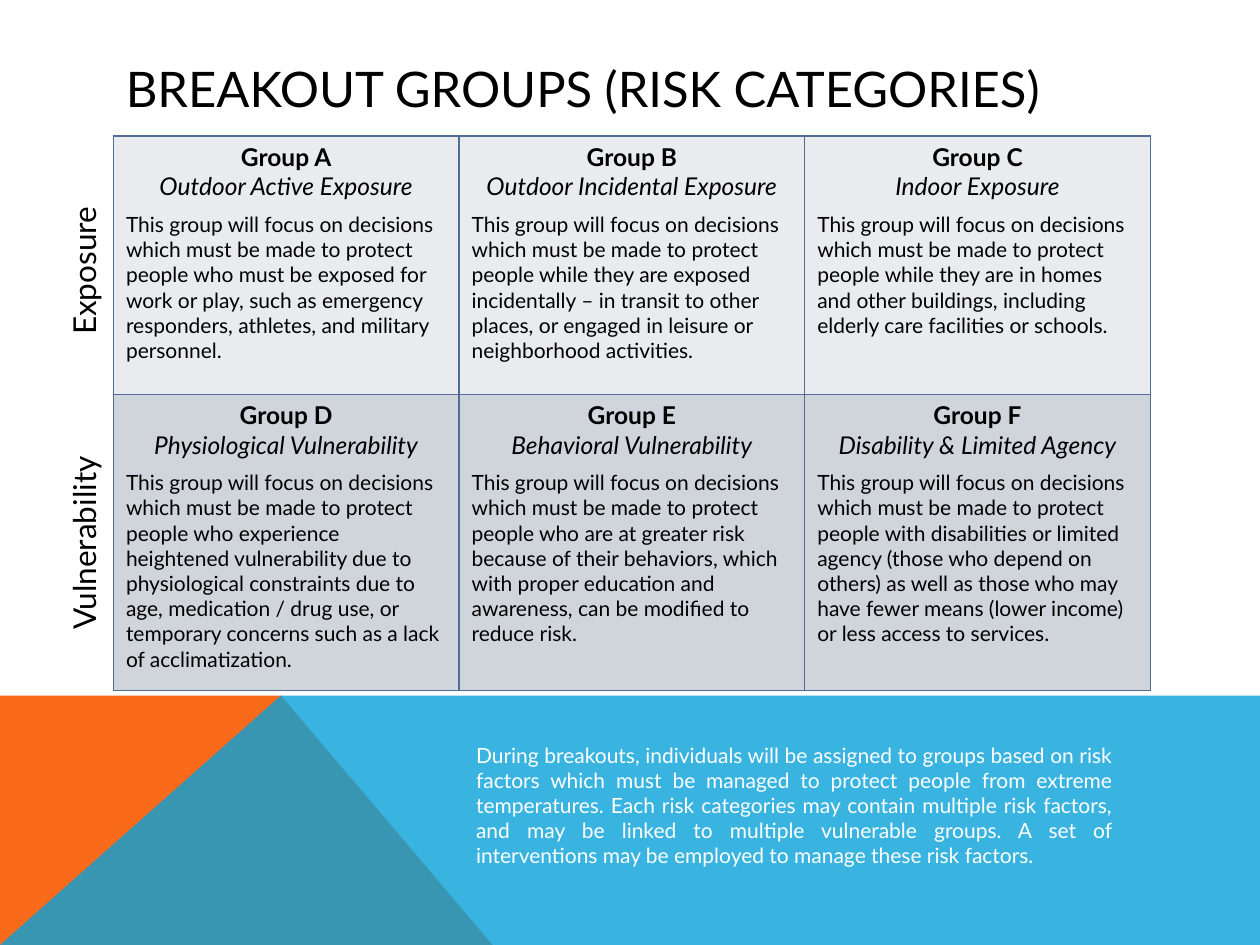
from lxml import etree
from pptx import Presentation
from pptx.dml.color import RGBColor
from pptx.enum.text import MSO_ANCHOR, PP_ALIGN
from pptx.oxml.ns import qn
from pptx.util import Inches, Pt

LEFT, CENTER, JUSTIFY = PP_ALIGN.LEFT, PP_ALIGN.CENTER, PP_ALIGN.JUSTIFY
TOP, MIDDLE = MSO_ANCHOR.TOP, MSO_ANCHOR.MIDDLE
BLACK = RGBColor(0x00, 0x00, 0x00)
WHITE = RGBColor(0xFF, 0xFF, 0xFF)
ORANGE = RGBColor(0xF9, 0x6A, 0x1B)
BLUE = RGBColor(0x08, 0xA1, 0xD9)
BORDER = RGBColor(0x50, 0x6E, 0x94)
ROW_FILLS = [RGBColor(0xE9, 0xEB, 0xEE), RGBColor(0xD0, 0xD5, 0xDC)]
FONT = "Lato"

prs = Presentation()
prs.slide_width, prs.slide_height = Inches(10), Inches(7.5)
s = prs.slides.add_slide(prs.slide_layouts[6])


def add_run(p, text, size, color=BLACK, align=LEFT, bold=False, italic=False):
    p.alignment = align
    r = p.add_run()
    r.text = text
    r.font.name, r.font.size = FONT, Pt(size)
    r.font.bold, r.font.italic = bold, italic
    r.font.color.rgb = color


def add_text(box, text, size, color=BLACK, align=LEFT, anchor=TOP, rotation=0):
    sp = s.shapes.add_textbox(*[Inches(v) for v in box])
    sp.rotation = rotation
    tf = sp.text_frame
    tf.word_wrap = True
    tf.vertical_anchor = anchor
    add_run(tf.paragraphs[0], text, size, color, align)


bands = [
    (ORANGE, 100, [(0, 7.5), (0, 5.52), (2.23, 5.52), (3.91, 7.5)]),
    (BLUE, 80, [(0, 7.5), (2.23, 5.52), (10, 5.52), (10, 7.5)]),
]
for color, opacity, points in bands:
    corners = [(Inches(x), Inches(y)) for x, y in points]
    builder = s.shapes.build_freeform(*corners[0])
    builder.add_line_segments(corners[1:], close=True)
    sp = builder.convert_to_shape()
    sp.shadow.inherit = False
    sp.line.fill.background()
    sp.fill.solid()
    sp.fill.fore_color.rgb = color
    if opacity < 100:
        clr = sp.fill._xPr.find(qn("a:solidFill"))[0]
        etree.SubElement(clr, qn("a:alpha"), val=str(opacity * 1000))

add_text((0.9, 0.4, 8.22, 0.6), "BREAKOUT GROUPS (RISK CATEGORIES)", 28, anchor=MIDDLE)

INTRO = "This group will focus on decisions which must be made to protect people "
groups = [
    [
        ("Group A", "Outdoor Active Exposure",
         "who must be exposed for work or play, such as emergency responders, "
         "athletes, and military personnel."),
        ("Group B", "Outdoor Incidental Exposure",
         "while they are exposed incidentally – in transit to other places, "
         "or engaged in leisure or neighborhood activities."),
        ("Group C", "Indoor Exposure",
         "while they are in homes and other buildings, including elderly care "
         "facilities or schools."),
    ],
    [
        ("Group D", "Physiological Vulnerability",
         "who experience heightened vulnerability due to physiological constraints "
         "due to age, medication / drug use, or temporary concerns such as a lack "
         "of acclimatization."),
        ("Group E", "Behavioral Vulnerability",
         "who are at greater risk because of their behaviors, which with proper "
         "education and awareness, can be modified to reduce risk."),
        ("Group F", "Disability & Limited Agency",
         "with disabilities or limited agency (those who depend on others) as well "
         "as those who may have fewer means (lower income) or less access to services."),
    ],
]
table = s.shapes.add_table(2, 3, Inches(0.9), Inches(1.08), Inches(8.23), Inches(4.4)).table
for row, height in zip(table.rows, (2.05, 2.35)):
    row.height = Inches(height)
for i, row_groups in enumerate(groups):
    for j, (name, topic, focus) in enumerate(row_groups):
        cell = table.cell(i, j)
        tcPr = cell._tc.get_or_add_tcPr()
        for side in ("lnL", "lnR", "lnT", "lnB"):
            ln = etree.SubElement(tcPr, qn("a:" + side), w=str(Pt(1)))
            fill = etree.SubElement(ln, qn("a:solidFill"))
            etree.SubElement(fill, qn("a:srgbClr"), val=str(BORDER))
        cell.fill.solid()
        cell.fill.fore_color.rgb = ROW_FILLS[i]
        tf = cell.text_frame
        add_run(tf.paragraphs[0], name, 14, align=CENTER, bold=True)
        add_run(tf.add_paragraph(), topic, 14, align=CENTER, italic=True)
        p = tf.add_paragraph()
        p.space_before = Pt(6)
        add_run(p, INTRO + focus, 12)

for label, top in (("Exposure", 1.95), ("Vulnerability", 4.11)):
    add_text((-0.4, top, 2.13, 0.4), label, 18, align=CENTER, rotation=270)

add_text(
    (3.68, 5.84, 5.25, 1.11),
    "During breakouts, individuals will be assigned to groups based on risk factors "
    "which must be managed to protect people from extreme temperatures. Each risk "
    "categories may contain multiple risk factors, and may be linked to multiple "
    "vulnerable groups. A set of interventions may be employed to manage these risk "
    "factors.",
    12, WHITE, JUSTIFY)

prs.save("out.pptx")
